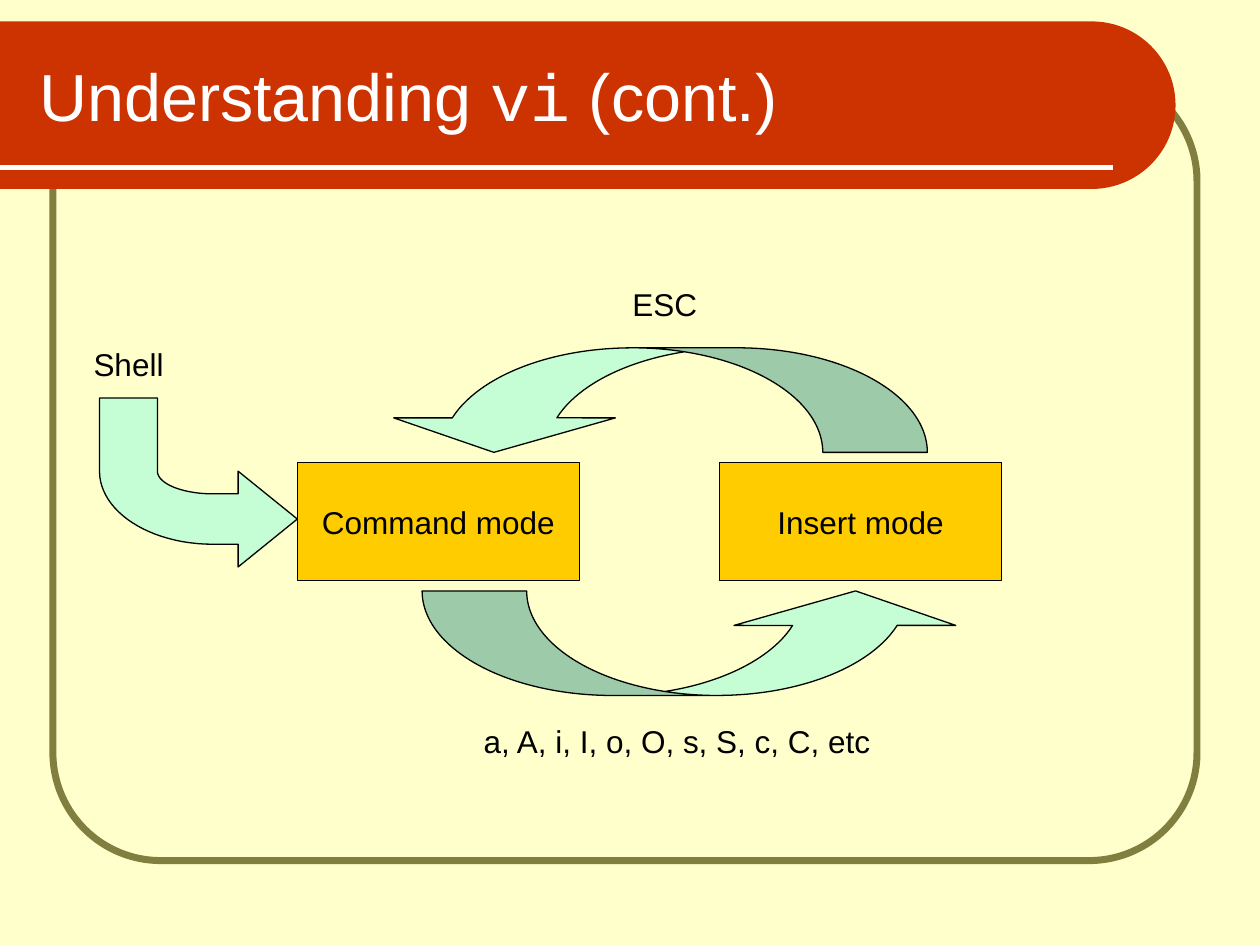
from pptx import Presentation
from pptx.dml.color import RGBColor
from pptx.enum.shapes import MSO_CONNECTOR, MSO_SHAPE
from pptx.enum.text import MSO_ANCHOR, MSO_AUTO_SIZE, PP_ALIGN
from pptx.oxml.ns import qn
from pptx.util import Inches, Pt

RECT = MSO_SHAPE.RECTANGLE
ROUND = MSO_SHAPE.ROUNDED_RECTANGLE
TAB = MSO_SHAPE.ROUND_2_SAME_RECTANGLE
CURVE = MSO_SHAPE.CURVED_UP_ARROW
LINE = MSO_CONNECTOR.STRAIGHT
MIDDLE = MSO_ANCHOR.MIDDLE
NO_FIT = MSO_AUTO_SIZE.NONE
LEFT, CENTER = PP_ALIGN.LEFT, PP_ALIGN.CENTER

CREAM, RED, OLIVE = "FFFFCC", "CC3300", "817F3F"
GOLD, MINT, BLACK, WHITE = "FFCC00", "C5FDD4", "000000", "FFFFFF"


def color(form, code):
    """Set a colour format from a hex string."""
    form.rgb = RGBColor.from_string(code)


def paint(shape, fill=None, line=None, width=0.75):
    """Set the fill and outline of a shape and drop its shadow."""
    shape.shadow.inherit = False
    if fill:
        shape.fill.solid()
        color(shape.fill.fore_color, fill)
    else:
        shape.fill.background()
    if line:
        color(shape.line.color, line)
        shape.line.width = Pt(width)
    else:
        shape.line.fill.background()


def style(run, size, code, font="Arial"):
    """Set the font of a run."""
    run.font.size = Pt(size)
    run.font.name = font
    color(run.font.color, code)


def write(shape, text, align=CENTER):
    """Put one line of label text in a shape."""
    frame = shape.text_frame
    frame.text = text
    para = frame.paragraphs[0]
    para.alignment = align
    style(para.runs[0], 18, BLACK)


def add_form(slide, kind, box, adjust=(), **look):
    """Add a painted preset shape."""
    shape = slide.shapes.add_shape(kind, *map(Inches, box))
    for i, value in enumerate(adjust):
        shape.adjustments[i] = value
    paint(shape, **look)
    return shape


def add_rule(slide, start, end):
    """Add the white rule in the banner."""
    rule = slide.shapes.add_connector(LINE, *map(Inches, start + end))
    color(rule.line.color, WHITE)
    rule.line.width = Pt(3)
    props = rule._element.spPr
    props.append(props.makeelement(qn("a:effectLst"), {}))


def add_title(slide):
    """Fill the title and bring it in front of the banner."""
    title = slide.shapes.title
    title.left, title.top = Inches(0.21), Inches(0.25)
    title.width, title.height = Inches(8.77), Inches(1)
    frame = title.text_frame
    frame.auto_size = NO_FIT
    frame.vertical_anchor = MIDDLE
    para = frame.paragraphs[0]
    para.alignment = LEFT
    parts = [("Understanding ", "Arial"), ("vi", "Courier New"), (" (cont.)", "Arial")]
    for text, font in parts:
        run = para.add_run()
        run.text = text
        style(run, 38, WHITE, font)
    slide.shapes._spTree.append(title._element)


def add_mode(slide, left, text):
    """Add a box for one editor mode."""
    box = add_form(slide, RECT, (left, 3.67, 2.24, 0.94), fill=GOLD, line=BLACK)
    box.text_frame.word_wrap = False
    box.text_frame.vertical_anchor = MIDDLE
    write(box, text)


def add_label(slide, left, top, width, text, align=CENTER):
    """Add a wrapped text label."""
    box = slide.shapes.add_textbox(*map(Inches, (left, top, width, 0.4)))
    box.text_frame.word_wrap = True
    write(box, text, align)


def bend(a, b, c, d, steps=24):
    """Return points along a cubic curve after its start."""
    times = [i / steps for i in range(1, steps + 1)]
    return [
        tuple(
            (1 - t) ** 3 * p + 3 * (1 - t) ** 2 * t * q + 3 * (1 - t) * t * t * r + t**3 * s
            for p, q, r, s in zip(a, b, c, d)
        )
        for t in times
    ]


def add_entry(slide):
    """Add the bent arrow from the shell to command mode."""
    outer = bend((0.79, 3.74), (0.79, 4.06), (1.19, 4.32), (1.69, 4.32))
    head = [(1.89, 4.32), (1.89, 4.5), (2.36, 4.12), (1.89, 3.74), (1.89, 3.92), (1.69, 3.92)]
    inner = bend((1.69, 3.92), (1.45, 3.92), (1.25, 3.84), (1.25, 3.74))
    points = [(0.79, 3.74)] + outer + head + inner + [(1.25, 3.16)]
    pen = slide.shapes.build_freeform(Inches(0.79), Inches(3.16))
    pen.add_line_segments([(Inches(x), Inches(y)) for x, y in points])
    paint(pen.convert_to_shape(), MINT, BLACK)


def add_loop(slide, left, top, turn):
    """Add a curved arrow between the modes."""
    box = (left, top, 4.32, 0.83)
    arrow = add_form(slide, CURVE, box, (1.06, 2.12, 0.33), fill=MINT, line=BLACK)
    arrow.rotation = turn


def main():
    """Build the slide and save it."""
    deck = Presentation()
    deck.slide_width, deck.slide_height = Inches(10), Inches(7.5)
    slide = deck.slides.add_slide(deck.slide_layouts[5])
    slide.background.fill.solid()
    color(slide.background.fill.fore_color, CREAM)

    add_form(slide, ROUND, (0.42, 0.58, 9.08, 6.25), [0.137], line=OLIVE, width=4)
    banner = add_form(slide, TAB, (4, -3.83, 1.33, 9.33), (0.5, 0), fill=RED)
    banner.rotation = 90
    add_rule(slide, (0, 1.33), (8.83, 1.33))
    add_title(slide)

    add_mode(slide, 2.36, "Command mode")
    add_mode(slide, 5.71, "Insert mode")
    add_entry(slide)
    add_label(slide, 0.43, 2.69, 1.18, "Shell")
    add_loop(slide, 3.35, 4.69, 0)
    add_label(slide, 3.74, 5.68, 3.39, "a, A, i, I, o, O, s, S, c, C, etc", LEFT)
    add_label(slide, 3.58, 2.21, 3.39, "ESC")
    add_loop(slide, 3.04, 2.76, 180)
    deck.save("out.pptx")


main()
